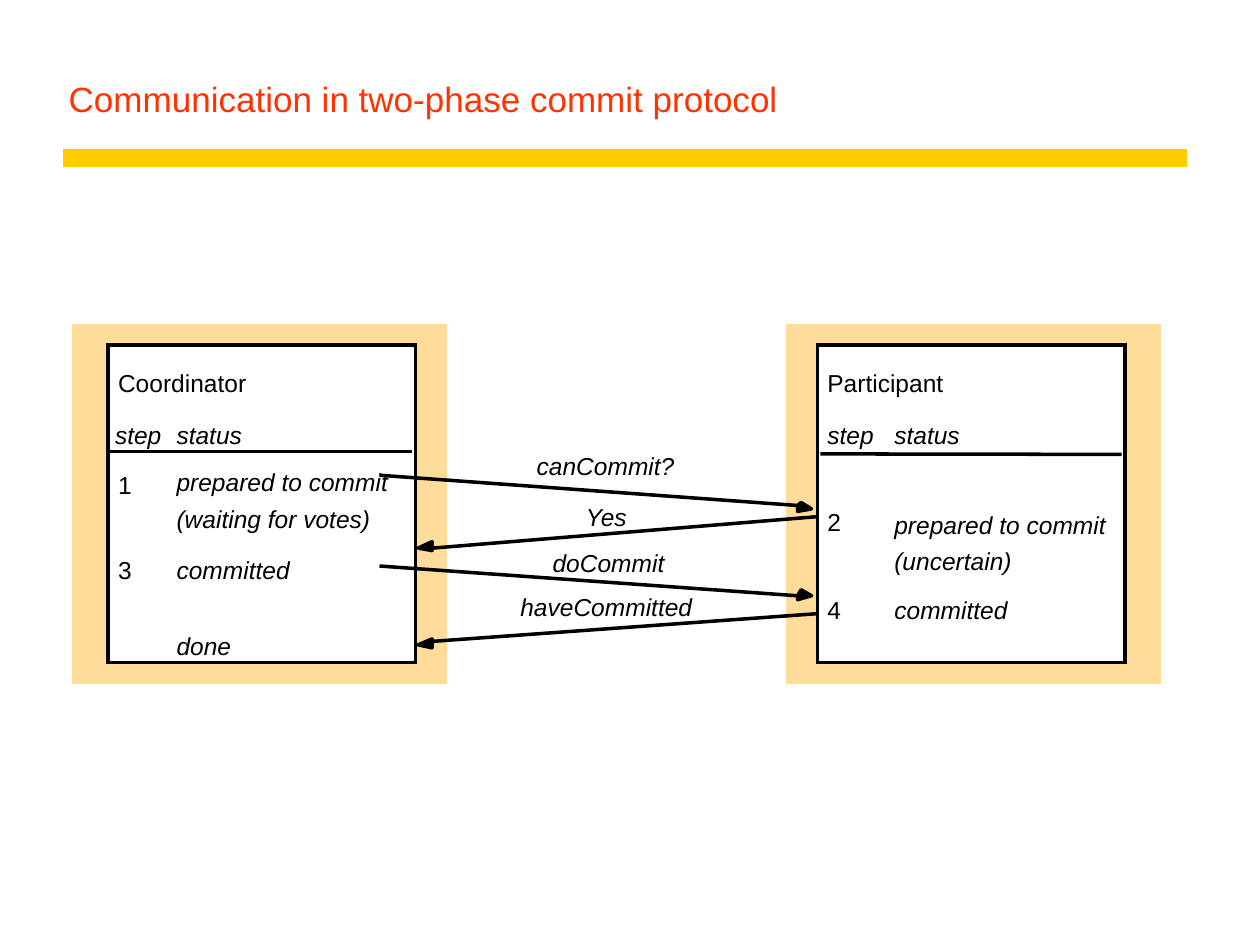
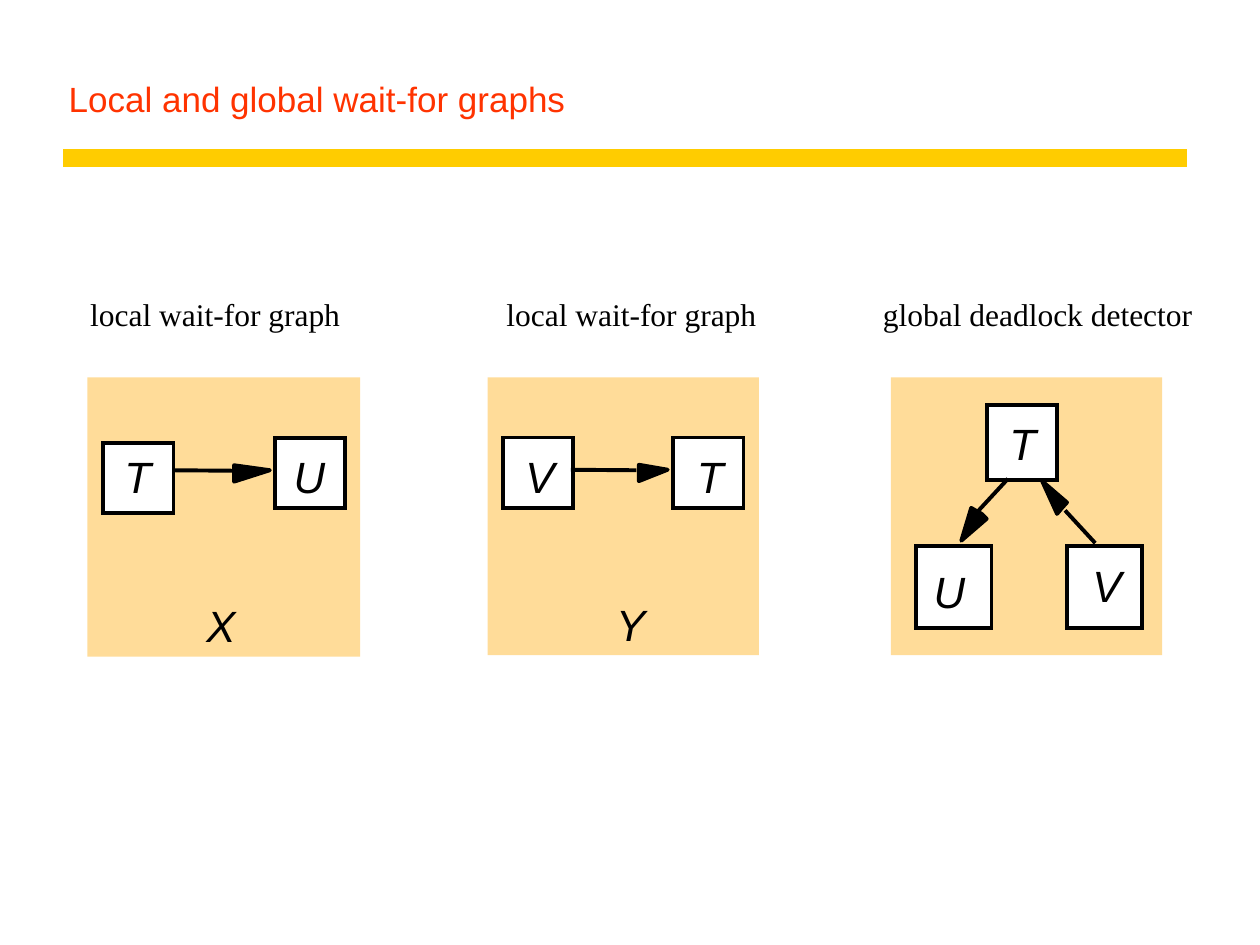
import pptx
import pptx.dml.color
import pptx.enum.shapes
import pptx.enum.text
import pptx.oxml
import pptx.util
from pptx.util import Cm

RGBColor = pptx.dml.color.RGBColor
BLACK = RGBColor(0x00, 0x00, 0x00)
WHITE = RGBColor(0xFF, 0xFF, 0xFF)
TITLE_RED = RGBColor(0xFF, 0x33, 0x00)
BAND_YELLOW = RGBColor(0xFF, 0xCC, 0x00)
PANEL_ORANGE = RGBColor(0xFF, 0xDC, 0x99)

SANS = "Arial"
SERIF = "Times New Roman"
LETTER_WIDTHS = {"T": 0.6, "U": 0.7, "V": 0.65, "X": 0.65, "Y": 0.65}
DRAWING = 'xmlns:a="http://schemas.openxmlformats.org/drawingml/2006/main"'


class Deck:
    """Holds the presentation, the current slide and its line width; lengths are in cm."""

    def __init__(self):
        self.presentation = pptx.Presentation()
        self.presentation.slide_width = Cm(25.4)
        self.presentation.slide_height = Cm(19.05)
        self.layout = self.presentation.slide_layouts[5]
        self.slide = None
        self.line_width = 2

    def new_slide(self, title, line_width):
        is_first = self.slide is None
        self.slide = self.presentation.slides.add_slide(self.layout)
        self.line_width = line_width
        if is_first:
            self.add_band()

        shape = self.slide.shapes.title
        shape.left, shape.top = Cm(1.13), Cm(0.64)
        shape.width, shape.height = Cm(22.78), Cm(1.9)
        frame = shape.text_frame
        frame.text = title
        frame.auto_size = pptx.enum.text.MSO_AUTO_SIZE.NONE
        frame.vertical_anchor = pptx.enum.text.MSO_ANCHOR.BOTTOM
        paragraph = frame.paragraphs[0]
        paragraph.alignment = pptx.enum.text.PP_ALIGN.LEFT
        self.set_font(paragraph, 20, SANS, TITLE_RED)

    def add_band(self):
        """Put the yellow band on the layout that all slides share."""
        band = self.line((1.27, 3.18), (23.92, 3.18), BAND_YELLOW, 10)
        self.layout.shapes._spTree.append(band._element)

    def set_font(self, paragraph, size, name, color, italic=False):
        font = paragraph.font
        font.size = pptx.util.Pt(size)
        font.name = name
        font.italic = italic
        font.color.rgb = color

    def paint(self, shape, fill, line):
        shape.shadow.inherit = False
        shape.fill.solid()
        shape.fill.fore_color.rgb = fill
        if line is None:
            shape.line.fill.background()
        else:
            shape.line.color.rgb = line
            shape.line.width = pptx.util.Pt(self.line_width)

    def rectangle(self, left, top, width, height, fill, line=None):
        shape = self.slide.shapes.add_shape(
            pptx.enum.shapes.MSO_SHAPE.RECTANGLE,
            Cm(left), Cm(top), Cm(width), Cm(height))
        self.paint(shape, fill, line)
        if line is not None:
            outline = shape.line._get_or_add_ln()
            outline.append(pptx.oxml.parse_xml(f'<a:miter {DRAWING} lim="800000"/>'))

    def line(self, start, end, color=BLACK, width=None):
        connector = self.slide.shapes.add_connector(
            pptx.enum.shapes.MSO_CONNECTOR.STRAIGHT,
            Cm(start[0]), Cm(start[1]), Cm(end[0]), Cm(end[1]))
        connector.line.color.rgb = color
        connector.line.width = pptx.util.Pt(width or self.line_width)
        properties = connector._element.spPr
        properties.append(pptx.oxml.parse_xml(f'<a:effectLst {DRAWING}/>'))
        return connector

    def arrow(self, start, end, head):
        """Draw a line from start to end with a filled head of the given corners."""
        corners = [(Cm(x), Cm(y)) for x, y in head]
        builder = self.slide.shapes.build_freeform(*corners[0])
        builder.add_line_segments(corners[1:], close=True)
        self.paint(builder.convert_to_shape(), BLACK, BLACK)
        self.line(start, end)

    def text(self, text, left, top, width, height=0.58, size=14,
             name=SANS, italic=True, margins=(0, 0)):
        box = self.slide.shapes.add_textbox(Cm(left), Cm(top), Cm(width), Cm(height))
        frame = box.text_frame
        frame.word_wrap = False
        frame.auto_size = pptx.enum.text.MSO_AUTO_SIZE.SHAPE_TO_FIT_TEXT
        frame.margin_left = frame.margin_right = Cm(margins[0])
        frame.margin_top = frame.margin_bottom = Cm(margins[1])
        frame.text = text
        self.set_font(frame.paragraphs[0], size, name, BLACK, italic)

    def letter(self, letter, left, top):
        self.text(letter, left, top, LETTER_WIDTHS[letter], 1.07, 25)

    def node(self, letter, box, letter_position):
        self.rectangle(*box, WHITE, BLACK)
        self.letter(letter, *letter_position)

    def caption(self, text, left, width):
        self.text(text, left, 5.82, width, 1.02, 18, SERIF, False, (0.25, 0.13))

    def process_panel(self, left):
        self.rectangle(left, 6.57, 7.49, 7.19, PANEL_ORANGE, PANEL_ORANGE)

    def process(self, name, name_width, box_left, step_left,
                number_left, status_left, numbers, statuses):
        """Draw one process of the protocol: its box, step numbers and statuses."""
        self.rectangle(box_left, 6.96, 6.2, 6.4, WHITE, BLACK)
        self.text(name, number_left, 7.42, name_width, italic=False)
        self.text("step", step_left, 8.47, 1.05)
        self.text("status", status_left, 8.47, 1.45)
        for number, top in numbers:
            self.text(number, number_left, top, 0.35, italic=False)
        for status, top, width in statuses:
            self.text(status, status_left, top, width)


def build_commit_slide(deck):
    deck.new_slide("Communication in two-phase commit protocol", 2)
    deck.process_panel(1.48)
    deck.process_panel(15.89)
    deck.process(
        "Coordinator", 2.7, 2.18, 2.32, 2.38, 3.56,
        [("1", 9.47), ("3", 11.19)],
        [("prepared to commit", 9.42, 4.4), ("(waiting for votes)", 10.16, 4),
         ("committed", 11.19, 2.4), ("done", 12.73, 1.2)])
    deck.line((2.18, 9.1), (8.31, 9.1))

    messages = [
        ("canCommit?", 10.82, 9.09, 2.9, (7.65, 9.58),
         [(16.08, 10.19), (16.15, 10.13), (16.36, 10.26), (16.08, 10.31)]),
        ("Yes", 11.81, 10.12, 0.95, (17.04, 10.37),
         [(8.71, 11.05), (8.71, 11.1), (8.43, 11.05), (8.71, 10.92)]),
        ("doCommit", 11.14, 11.05, 2.4, (7.65, 11.41),
         [(16.08, 12.01), (16.15, 11.89), (16.36, 12.01), (16.08, 12.09)]),
        ("haveCommitted", 10.49, 11.94, 3.6, (17.04, 12.33),
         [(8.71, 12.93), (8.71, 13.06), (8.43, 13.0), (8.71, 12.88)]),
    ]
    for message, left, top, width, start, head in messages:
        deck.text(message, left, top, width)
        deck.arrow(start, head[0], head)

    deck.process(
        "Participant", 2.45, 16.48, 16.68, 16.68, 18.03,
        [("2", 10.22), ("4", 11.99)],
        [("prepared to commit", 10.29, 4.4), ("(uncertain)", 11.01, 2.5),
         ("committed", 11.99, 2.4)])
    deck.line((16.54, 9.15), (22.61, 9.16))


def build_wait_for_slide(deck):
    deck.new_slide("Local and global wait-for graphs", 2.25)
    deck.rectangle(1.76, 7.61, 5.5, 5.63, PANEL_ORANGE)
    deck.rectangle(9.83, 7.61, 5.47, 5.6, PANEL_ORANGE)
    deck.rectangle(17.96, 7.61, 5.47, 5.6, PANEL_ORANGE)
    deck.letter("X", 4.16, 12.08)
    deck.letter("Y", 12.42, 12.06)

    nodes = [
        ("T", (2.08, 8.93, 1.42, 1.42), (2.51, 9.07)),
        ("U", (5.54, 8.83, 1.42, 1.42), (5.92, 9.07)),
        ("V", (10.14, 8.82, 1.42, 1.42), (10.59, 9.07)),
        ("T", (13.57, 8.82, 1.42, 1.42), (14.05, 9.07)),
        ("T", (19.89, 8.16, 1.42, 1.52), (20.35, 8.41)),
        ("U", (18.47, 11.01, 1.52, 1.65), (18.82, 11.38)),
        ("V", (21.51, 11.01, 1.52, 1.65), (22.02, 11.27)),
    ]
    for node in nodes:
        deck.node(*node)

    waits = [
        ((3.47, 9.48), (4.8, 9.49),
         [(4.72, 9.48), (4.72, 9.38), (5.44, 9.48), (4.72, 9.71)]),
        ((11.51, 9.47), (12.83, 9.48),
         [(12.88, 9.47), (12.88, 9.37), (13.46, 9.47), (12.88, 9.7)]),
        ((20.32, 9.65), (19.71, 10.31),
         [(19.79, 10.36), (19.89, 10.46), (19.38, 10.9), (19.58, 10.24)]),
        ((22.08, 10.95), (21.47, 10.29),
         [(21.41, 10.24), (21.31, 10.36), (21.01, 9.7), (21.51, 10.13)]),
    ]
    for wait in waits:
        deck.arrow(*wait)

    deck.caption("local wait-for graph", 1.57, 5.8)
    deck.caption("local wait-for graph", 9.96, 5.8)
    deck.caption("global deadlock detector", 17.55, 6.9)


def main():
    deck = Deck()
    build_commit_slide(deck)
    build_wait_for_slide(deck)
    deck.presentation.save("out.pptx")


if __name__ == "__main__":
    main()
